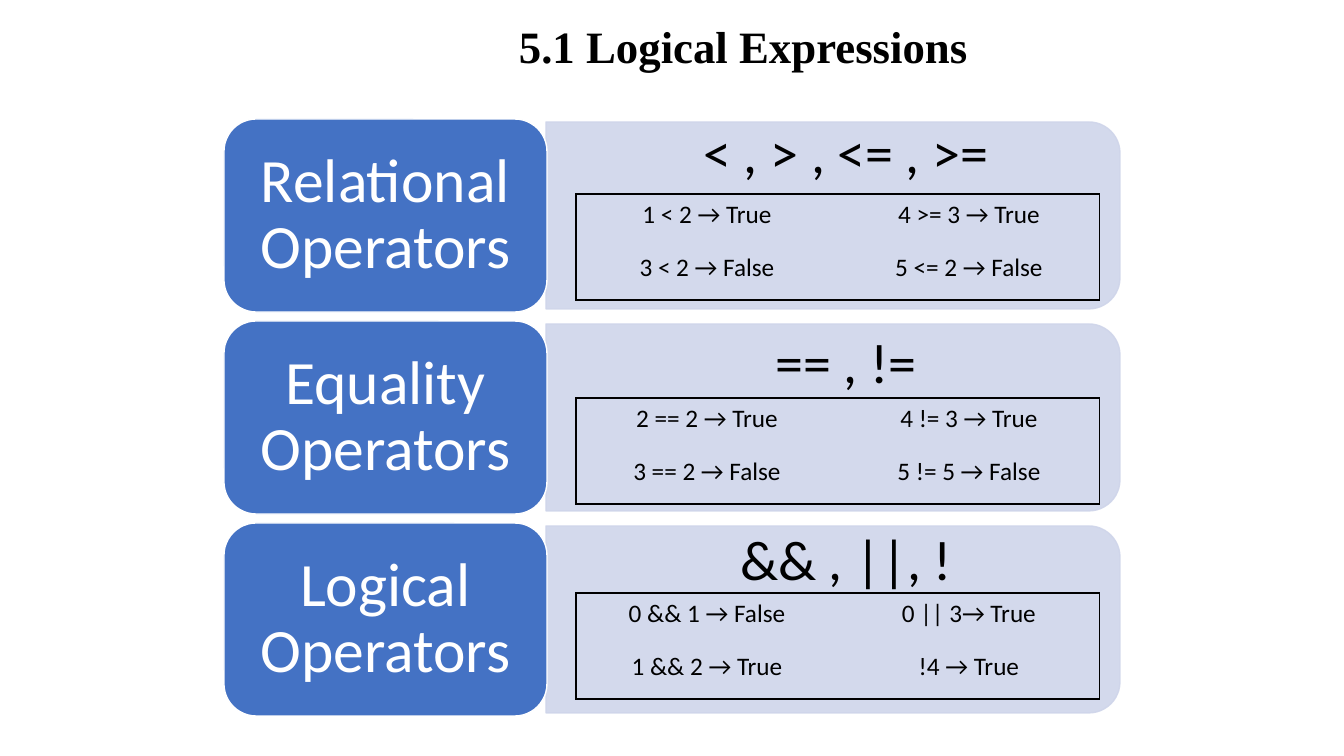
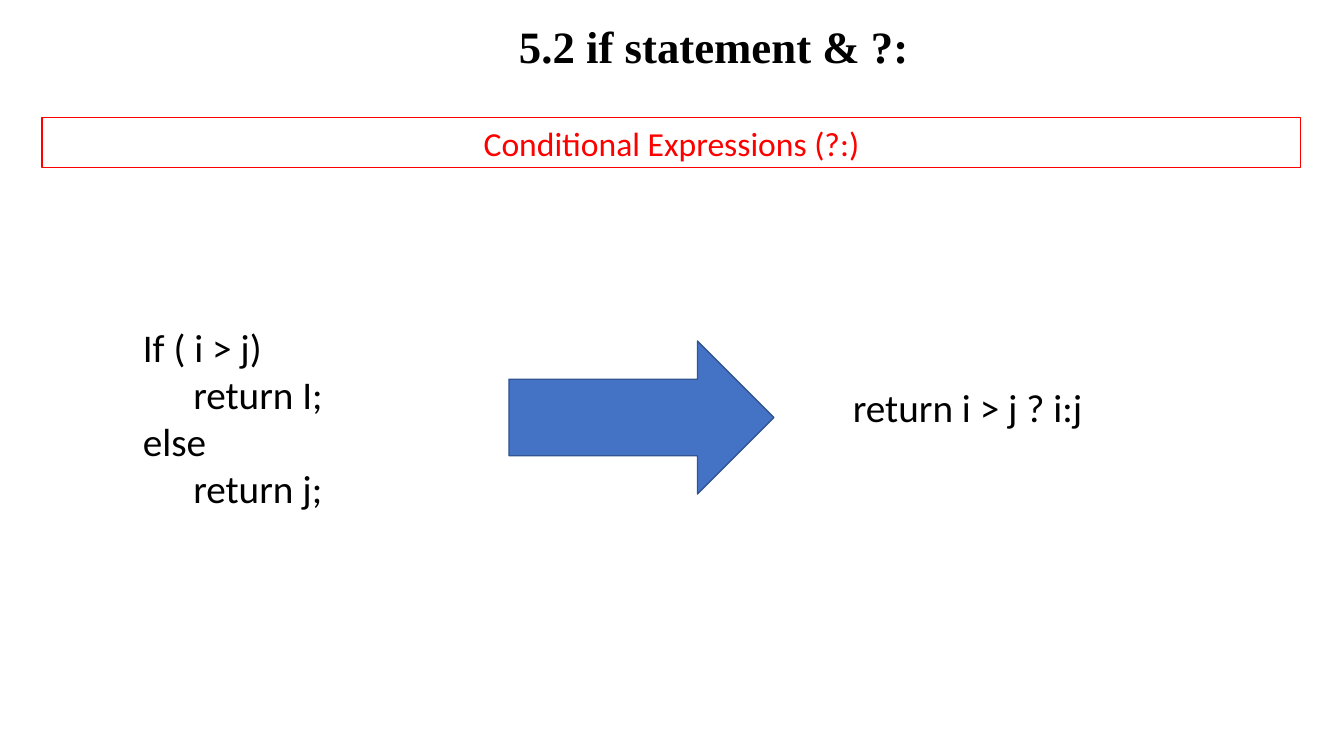
from lxml import etree
from pptx import Presentation, util as u
from pptx.dml.color import RGBColor
from pptx.enum import shapes, text
from pptx.oxml import ns

PX = 914400 / 100.8
COLORS = {
    "black": "000000", "white": "FFFFFF", "red": "FF0000",
    "blue": "4472C4", "blue_edge": "325491", "panel": "CFD5EA",
}
LEFT, CENTER = text.PP_ALIGN.LEFT, text.PP_ALIGN.CENTER
KINDS = shapes.MSO_SHAPE
PLAIN_TABLE = "{2D5ABB26-0587-4C30-8999-92F81FD0307C}"


def write(frame, content, size, color="black", font="Calibri", bold=False,
          align=LEFT, spacing=None, **frame_format):
    """Fill a text frame, one paragraph per line; extra names set frame attributes."""
    for name, value in {"word_wrap": True, **frame_format}.items():
        setattr(frame, name, value)
    frame.text = content
    for paragraph in frame.paragraphs:
        paragraph.alignment = align
        paragraph.line_spacing = spacing
        letters = {"size": u.Pt(size), "name": font, "bold": bold}
        for run in paragraph.runs:
            for name, value in letters.items():
                setattr(run.font, name, value)
            run.font.color.rgb = RGBColor.from_string(COLORS[color])


def add_block(slide, kind, box, fill=None, line="white", line_width=1):
    """Add a preset shape (or a text box if kind is None) at a box in px."""
    place = [round(value * PX) for value in box]
    if kind is None:
        return slide.shapes.add_textbox(*place)
    block = slide.shapes.add_shape(kind, *place)
    block.shadow.inherit = False
    if fill:
        block.fill.solid()
        block.fill.fore_color.rgb = RGBColor.from_string(COLORS[fill])
    else:
        block.fill.background()
    block.line.color.rgb = RGBColor.from_string(COLORS[line])
    block.line.width = u.Pt(line_width)
    return block


prs = Presentation()
prs.slide_width, prs.slide_height = round(1344 * PX), round(756 * PX)

# Titles
slides = []
for title, width in [("5.1 Logical Expressions", 474), ("5.2 if statement & ?:", 413)]:
    slide = prs.slides.add_slide(prs.slide_layouts[6])
    heading = add_block(slide, None, (509, 14, width, 64))
    write(heading.text_frame, title, 32, font="Times New Roman", bold=True,
          word_wrap=False)
    slides.append(slide)
logical, conditional = slides

# Operator families: label, panel, symbols, examples
LABEL_LEFT, LABEL_TOP, LABEL_WIDTH, LABEL_HEIGHT, STEP = 224, 119, 323, 193, 202
PANEL_LEFT, PANEL_LENGTH, PANEL_DEPTH = 546, 574, 187
EXAMPLES_LEFT, EXAMPLE_WIDTH, EXAMPLE_HEIGHT = 576, 262, 53
families = [
    ("Relational Operators", "< , > , <= , >=", 118, 194,
     [["1 < 2 → True", "4 >= 3 → True"], ["3 < 2 → False", "5 <= 2 → False"]]),
    ("Equality Operators", "== , !=", 328, 398,
     [["2 == 2 → True", "4 != 3 → True"], ["3 == 2 → False", "5 != 5 → False"]]),
    ("Logical Operators", "&& , ||, !", 525, 593,
     [["0 && 1 → False", "0 || 3→ True"], ["1 && 2 → True", "!4 → True"]]),
]
for index, (family, symbols, symbols_top, examples_top, examples) in enumerate(families):
    top = LABEL_TOP + index * STEP
    middle = top + LABEL_HEIGHT / 2
    panel = add_block(
        logical, KINDS.ROUND_2_SAME_RECTANGLE,
        (PANEL_LEFT + (PANEL_LENGTH - PANEL_DEPTH) / 2, middle - PANEL_LENGTH / 2,
         PANEL_DEPTH, PANEL_LENGTH), "panel", "panel")
    panel.rotation = 90
    for color in panel.element.spPr.iter(ns.qn("a:srgbClr")):
        etree.SubElement(color, ns.qn("a:alpha"), val="90000")

    symbol_line = add_block(logical, None, (PANEL_LEFT, symbols_top, 600, 68))
    write(symbol_line.text_frame, symbols, 40, align=CENTER,
          margin_top=0, margin_bottom=0)

    label = add_block(logical, KINDS.ROUNDED_RECTANGLE,
                      (LABEL_LEFT, top, LABEL_WIDTH, LABEL_HEIGHT), "blue")
    write(label.text_frame, family, 44, "white", align=CENTER, spacing=0.9,
          vertical_anchor=text.MSO_ANCHOR.MIDDLE)

    grid = [round(value * PX) for value in
            (EXAMPLES_LEFT, examples_top, 2 * EXAMPLE_WIDTH, 2 * EXAMPLE_HEIGHT)]
    table = logical.shapes.add_table(2, 2, *grid).table
    table.first_row = table.horz_banding = False
    table._tbl.tblPr.find(ns.qn("a:tableStyleId")).text = PLAIN_TABLE
    for row, column in [(0, 0), (0, 1), (1, 0), (1, 1)]:
        cell = table.cell(row, column)
        write(cell.text_frame, examples[row][column], 18, align=CENTER)
        outer_sides = ("lnL" if column == 0 else "lnR", "lnT" if row == 0 else "lnB")
        properties = cell._tc.get_or_add_tcPr()
        for side in ("lnL", "lnR", "lnT", "lnB"):
            border = etree.SubElement(properties, ns.qn("a:" + side), w="12700")
            if side in outer_sides:
                paint = etree.SubElement(border, ns.qn("a:solidFill"))
                etree.SubElement(paint, ns.qn("a:srgbClr"), val=COLORS["black"])
            else:
                etree.SubElement(border, ns.qn("a:noFill"))
        cell.fill.background()

# Conditional expression: statement, arrow, short form
banner = add_block(conditional, KINDS.RECTANGLE, (42, 118, 1259, 50),
                   line="red", line_width=0.75)
write(banner.text_frame, "Conditional Expressions (?:)", 24, "red", align=CENTER,
      vertical_anchor=text.MSO_ANCHOR.MIDDLE)

statement = add_block(conditional, None, (133, 318, 305, 201))
write(statement.text_frame, "If ( i > j)\n\treturn I;\nelse\n\treturn j;", 28)

add_block(conditional, KINDS.RIGHT_ARROW, (509, 341, 265, 153), "blue", "blue_edge")

short_form = add_block(conditional, None, (843, 378, 427, 57))
write(short_form.text_frame, "return i > j ? i:j", 28)

prs.save("out.pptx")
